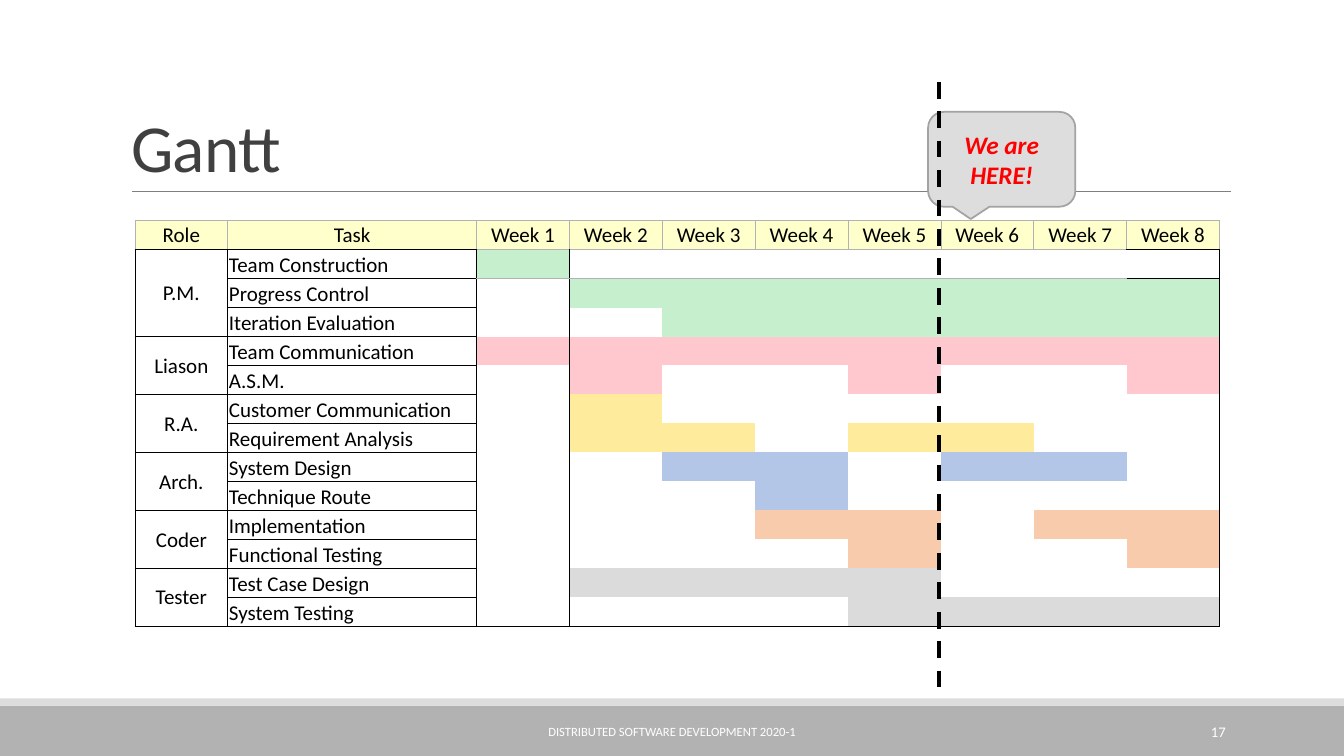
from dataclasses import dataclass

from lxml import etree
from pptx import Presentation
from pptx import util as u
from pptx.dml.color import RGBColor
from pptx.enum import dml, shapes, text
from pptx.oxml import ns


@dataclass(frozen=True)
class Theme:
    font: str = "Calibri"
    ink: str = "000000"
    heading: str = "404040"
    white: str = "FFFFFF"
    alert: str = "FF0000"
    rule: str = "808080"
    band: str = "B2B2B2"
    pale: str = "DDDDDD"
    callout_line: str = "A3A3A3"
    header: str = "FFFFCC"
    title_size: float = 48
    callout_size: float = 18
    table_size: float = 15
    number_size: float = 10.5
    footer_size: float = 9
    grid_width: float = 0.5


ALIGN = text.PP_ALIGN
MIDDLE = text.MSO_ANCHOR.MIDDLE
BOTTOM = text.MSO_ANCHOR.BOTTOM
NO_STYLE = "{2D5ABB26-0587-4C30-8999-92F81FD0307C}"
WEEKS = 8

# Role, bar colour, tasks with one mark per week (# means busy)
PLAN = [
    ("P.M.", "C6EFCE", [("Team Construction", "#......."),
                        ("Progress Control", ".#######"),
                        ("Iteration Evaluation", "..######")]),
    ("Liason", "FFC7CE", [("Team Communication", "########"),
                          ("A.S.M.", ".#..#..#")]),
    ("R.A.", "FFEB9C", [("Customer Communication", ".#......"),
                        ("Requirement Analysis", ".##.##..")]),
    ("Arch.", "B4C6E7", [("System Design", "..##.##."),
                         ("Technique Route", "...#....")]),
    ("Coder", "F8CBAD", [("Implementation", "...##.##"),
                         ("Functional Testing", "....#..#")]),
    ("Tester", "DBDBDB", [("Test Case Design", ".####..."),
                          ("System Testing", "....####")]),
]


class SlideBuilder:
    def __init__(self, slide, theme):
        self.s = slide
        self.theme = theme

    def add_text(self, tf, words, size, color, align=ALIGN.LEFT, anchor=MIDDLE,
                 bold=False, italic=False):
        tf.word_wrap = True
        tf.vertical_anchor = anchor
        p = tf.paragraphs[0]
        p.alignment = align
        r = p.add_run()
        r.text = words
        r.font.name = self.theme.font
        r.font.size = u.Pt(size)
        r.font.bold, r.font.italic = bold, italic
        r.font.color.rgb = RGBColor.from_string(color)
        return p

    def title(self, words, *box):
        sp = self.s.shapes.title
        sp.left, sp.top, sp.width, sp.height = map(u.Cm, box)
        tf = sp.text_frame
        tf.auto_size = text.MSO_AUTO_SIZE.NONE
        p = self.add_text(tf, words, self.theme.title_size, self.theme.heading, anchor=BOTTOM)
        p.line_spacing = 0.85
        p.runs[0].font._element.set("spc", "-50")

    def label(self, words, size, align, *box):
        sp = self.s.shapes.add_textbox(*map(u.Cm, box))
        self.add_text(sp.text_frame, words, size, self.theme.white, align)

    def shape(self, kind, fill, *box, line=None, width=0):
        sp = self.s.shapes.add_shape(kind, *map(u.Cm, box))
        sp.shadow.inherit = False
        sp.fill.solid()
        sp.fill.fore_color.rgb = RGBColor.from_string(fill)
        if line:
            sp.line.color.rgb = RGBColor.from_string(line)
            sp.line.width = u.Pt(width)
        else:
            sp.line.fill.background()
        return sp

    def line(self, color, width, *ends, dash=None):
        cn = self.s.shapes.add_connector(shapes.MSO_CONNECTOR.STRAIGHT, *map(u.Cm, ends))
        cn.line.color.rgb = RGBColor.from_string(color)
        cn.line.width = u.Pt(width)
        if dash:
            cn.line.dash_style = dash
        etree.SubElement(cn._element.spPr, ns.qn("a:effectLst"))

    def cell(self, cell, words="", fill=None, borders=None, align=ALIGN.CENTER, anchor=MIDDLE):
        cell.margin_left = cell.margin_right = cell.margin_top = u.Cm(0.03)
        cell.margin_bottom = 0
        if words:
            self.add_text(cell.text_frame, words, self.theme.table_size, self.theme.ink, align)
        else:
            # Small type keeps an empty cell from stretching its row
            p = cell.text_frame.paragraphs[0]
            etree.SubElement(p._p, ns.qn("a:endParaRPr"), sz=str(self.theme.table_size * 100))
        cell.vertical_anchor = anchor
        tcPr = cell._tc.get_or_add_tcPr()
        for side in "LRTB":
            color = (borders or {}).get(side)
            if color:
                width = str(u.Pt(self.theme.grid_width))
                ln = etree.SubElement(tcPr, ns.qn("a:ln" + side), w=width)
                solid = etree.SubElement(ln, ns.qn("a:solidFill"))
                etree.SubElement(solid, ns.qn("a:srgbClr"), val=color)
        if fill:
            cell.fill.solid()
            cell.fill.fore_color.rgb = RGBColor.from_string(fill)
        else:
            cell.fill.background()

    def gantt(self, plan, left, top, narrow, wide, row_height):
        t = self.theme
        row_count = 1 + sum(len(tasks) for _, _, tasks in plan)
        widths = [narrow, wide] + [narrow] * WEEKS
        frame = self.s.shapes.add_table(row_count, len(widths), u.Cm(left), u.Cm(top),
                                        u.Cm(sum(widths)), u.Cm(row_height * row_count))
        table = frame.table
        table.first_row = table.horz_banding = False
        table._tbl.tblPr.find(ns.qn("a:tableStyleId")).text = NO_STYLE
        for column, width in zip(table.columns, widths):
            column.width = u.Cm(width)
        for row in table.rows:
            row.height = u.Cm(row_height)

        # Header row
        black = dict.fromkeys("LRTB", t.ink)
        grey = dict.fromkeys("LRTB", t.band)
        last = len(widths) - 1
        heads = ["Role", "Task"] + [f"Week {n}" for n in range(1, WEEKS + 1)]
        for c, head in enumerate(heads):
            bottom = t.ink if c in (0, 1, last) else t.band
            self.cell(table.cell(0, c), head, t.header, {**grey, "B": bottom})

        # Roles, tasks and bars
        y = 1
        for role, color, tasks in plan:
            table.cell(y, 0).merge(table.cell(y + len(tasks) - 1, 0))
            for i, (task, marks) in enumerate(tasks):
                self.cell(table.cell(y, 0), "" if i else role, borders=black)
                self.cell(table.cell(y, 1), task, borders=black, align=ALIGN.LEFT, anchor=BOTTOM)
                for c, mark in enumerate(marks, 2):
                    borders = {
                        "L": t.ink if c == 2 else None,
                        "R": t.ink if c == last else None,
                        "T": (t.ink if c == last else t.band) if y == 1 else None,
                        "B": t.ink if y == row_count - 1 else None,
                    }
                    self.cell(table.cell(y, c), fill=color if mark == "#" else None,
                              borders=borders)
                y += 1

    def callout(self, words, tip, *box):
        t = self.theme
        sp = self.shape(shapes.MSO_SHAPE.ROUNDED_RECTANGULAR_CALLOUT, t.pale, *box,
                        line=t.callout_line, width=1.25)
        sp.adjustments[0], sp.adjustments[1] = tip
        self.add_text(sp.text_frame, words, t.callout_size, t.alert, ALIGN.CENTER,
                      bold=True, italic=True)


def main():
    theme = Theme()
    prs = Presentation()
    prs.slide_width, prs.slide_height = u.Cm(33.87), u.Cm(19.05)
    page = SlideBuilder(prs.slides.add_slide(prs.slide_layouts[5]), theme)

    # Footer bands and title rule
    page.shape(shapes.MSO_SHAPE.RECTANGLE, theme.band, 0, 17.78, 33.87, 1.27)
    page.shape(shapes.MSO_SHAPE.RECTANGLE, theme.pale, 0, 17.6, 33.87, 0.18)
    page.line(theme.rule, 0.5, 3.33, 4.83, 31.01, 4.83)

    # Title and schedule
    page.title("Gantt", 3.05, 0.79, 27.94, 4.04)
    page.gantt(PLAN, left=3.4, top=5.56, narrow=2.34, wide=6.27, row_height=0.73)

    # Footer text
    page.label("DISTRIBUTED SOFTWARE DEVELOPMENT 2020-1", theme.footer_size, ALIGN.CENTER,
               10.24, 17.93, 13.39, 1.02)
    page.label("17", theme.number_size, ALIGN.RIGHT, 27.51, 17.93, 3.63, 1.02)

    # Current date marker
    page.callout("We are HERE!", (-0.21, 0.63), 23.39, 2.82, 3.71, 2.39)
    page.line(theme.ink, 3, 23.67, 2.06, 23.67, 17.5, dash=dml.MSO_LINE.DASH)

    prs.save("out.pptx")


if __name__ == "__main__":
    main()
